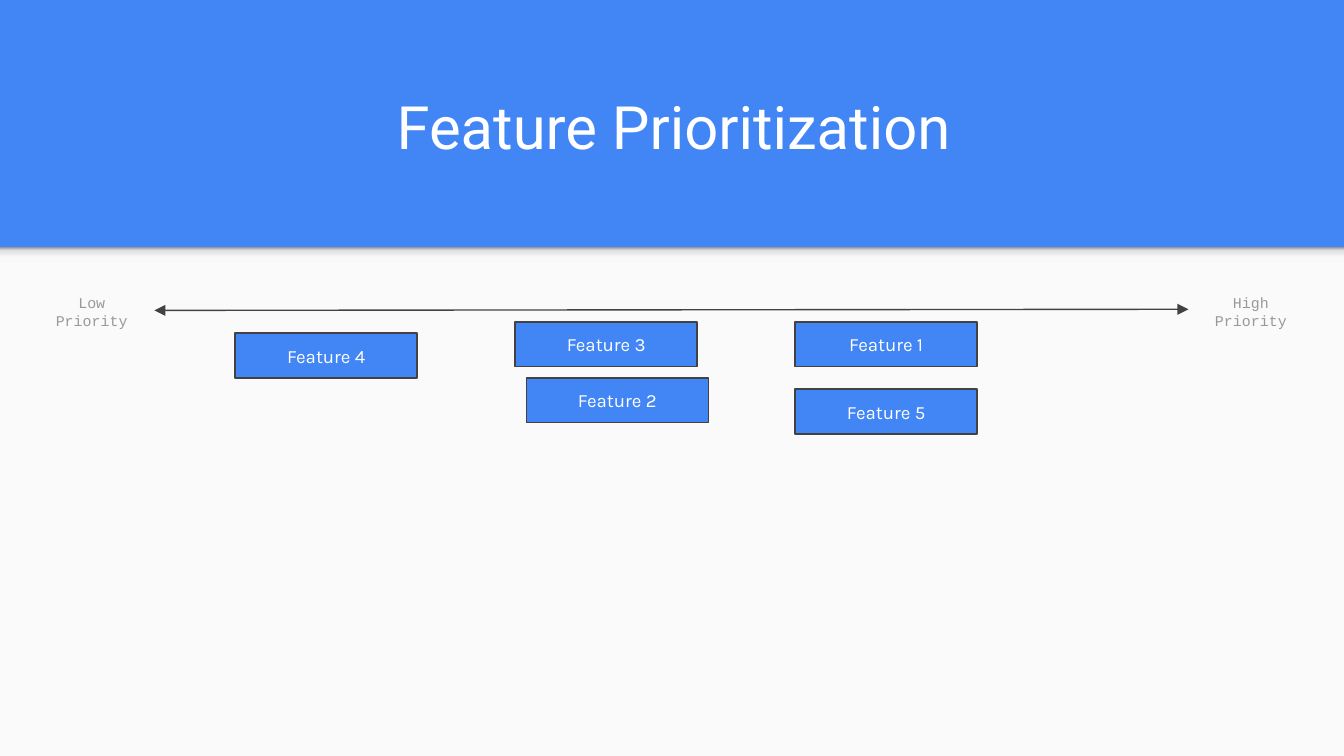
from lxml.etree import SubElement
from pptx import Presentation
from pptx.dml.color import RGBColor
from pptx.enum.shapes import MSO_CONNECTOR as Connector, MSO_SHAPE as Shape
from pptx.enum.text import MSO_ANCHOR as Anchor, PP_ALIGN as Align
from pptx.oxml.ns import qn
from pptx.util import Pt

COLORS = {
    "blue": "4285F4", "paper": "FAFAFA", "ink": "424242", "white": "FFFFFF",
    "label": "999999", "fade": "F9F9F9", "mist": "DEDEDE", "edge": "999999",
}
WIDTH, HEIGHT, BAND = 720, 405, 132.5
FEATURES = [
    ("Feature 1", 426, 172.5), ("Feature 2", 282, 202.5), ("Feature 3", 276, 172.5),
    ("Feature 4", 126, 178.5), ("Feature 5", 426, 208.5),
]


def color(name):
    """Return the named colour."""
    return RGBColor.from_string(COLORS[name])


def add_rectangle(page, box, fill):
    """Add a rectangle without line or shadow."""
    shape = page.shapes.add_shape(Shape.RECTANGLE, *map(Pt, box))
    shape.shadow.inherit = False
    shape.fill.solid()
    shape.fill.fore_color.rgb = color(fill)
    shape.line.fill.background()
    return shape


def write_text(shape, text, font, size, ink, anchor=Anchor.MIDDLE):
    """Write one centred paragraph into a shape."""
    frame = shape.text_frame
    frame.word_wrap = True
    frame.vertical_anchor = anchor
    frame.margin_left = frame.margin_right = Pt(7.2)
    frame.margin_top = frame.margin_bottom = Pt(7.2)
    para = frame.paragraphs[0]
    para.text = text
    para.alignment = Align.CENTER
    para.font.name = font
    para.font.size = Pt(size)
    para.font.color.rgb = color(ink)


def add_text(page, box, *style):
    """Add a text box with one centred paragraph."""
    write_text(page.shapes.add_textbox(*map(Pt, box)), *style)


def add_header(page, left, top, width, height):
    """Draw the title band and the shade beneath it."""
    bottom = top + height
    add_rectangle(page, (left, bottom, width, HEIGHT - bottom), "paper")
    shade = add_rectangle(page, (left, bottom, width, 8.5), "fade")
    shade.fill.gradient()
    shade.fill.gradient_angle = 90
    stops = shade.element.spPr.find(qn("a:gradFill")).find(qn("a:gsLst"))
    for stop in list(stops):
        stops.remove(stop)
    for percent, name in ((0, "fade"), (36, "fade"), (80, "mist"), (100, "edge")):
        stop = SubElement(stops, qn("a:gs"), pos=str(percent * 1000))
        SubElement(stop, qn("a:srgbClr"), val=COLORS[name])
    add_text(page, (left + 37.5, top + 33, width - 73, 60.5),
             "Feature Prioritization", "Roboto", 32, "white", Anchor.BOTTOM)


def add_scale(page, left, top, width, height):
    """Draw the priority arrow with a label at each end."""
    label = 67
    start, end = left + label, left + width - label
    arrow = page.shapes.add_connector(
        Connector.STRAIGHT, Pt(start), Pt(top + 12.3), Pt(end), Pt(top + 11.7))
    arrow.line.color.rgb = color("ink")
    arrow.line.width = Pt(0.75)
    line = arrow.line._get_or_add_ln()
    for tip in ("a:headEnd", "a:tailEnd"):
        SubElement(line, qn(tip), type="triangle")
    SubElement(arrow.element.spPr, qn("a:effectLst"))
    for text, x in (("High Priority", end), ("Low Priority", left)):
        add_text(page, (x, top, label, height), text, "Courier New", 8, "label")


def add_feature(page, text, left, top, width=97.5, height=24):
    """Draw one feature card."""
    card = add_rectangle(page, (left, top, width, height), "blue")
    card.line.color.rgb = color("ink")
    card.line.width = Pt(0.75)
    write_text(card, text, "Karla", 10, "white")


def build():
    """Build and save the deck."""
    deck = Presentation()
    deck.slide_width, deck.slide_height = Pt(WIDTH), Pt(HEIGHT)
    page = deck.slides.add_slide(deck.slide_layouts[6])
    page.background.fill.solid()
    page.background.fill.fore_color.rgb = color("blue")
    add_header(page, 0, 0, WIDTH, BAND)
    for feature in FEATURES:
        add_feature(page, *feature)
    add_scale(page, 15.7, 154, 688, 26)
    deck.save("out.pptx")


build()
